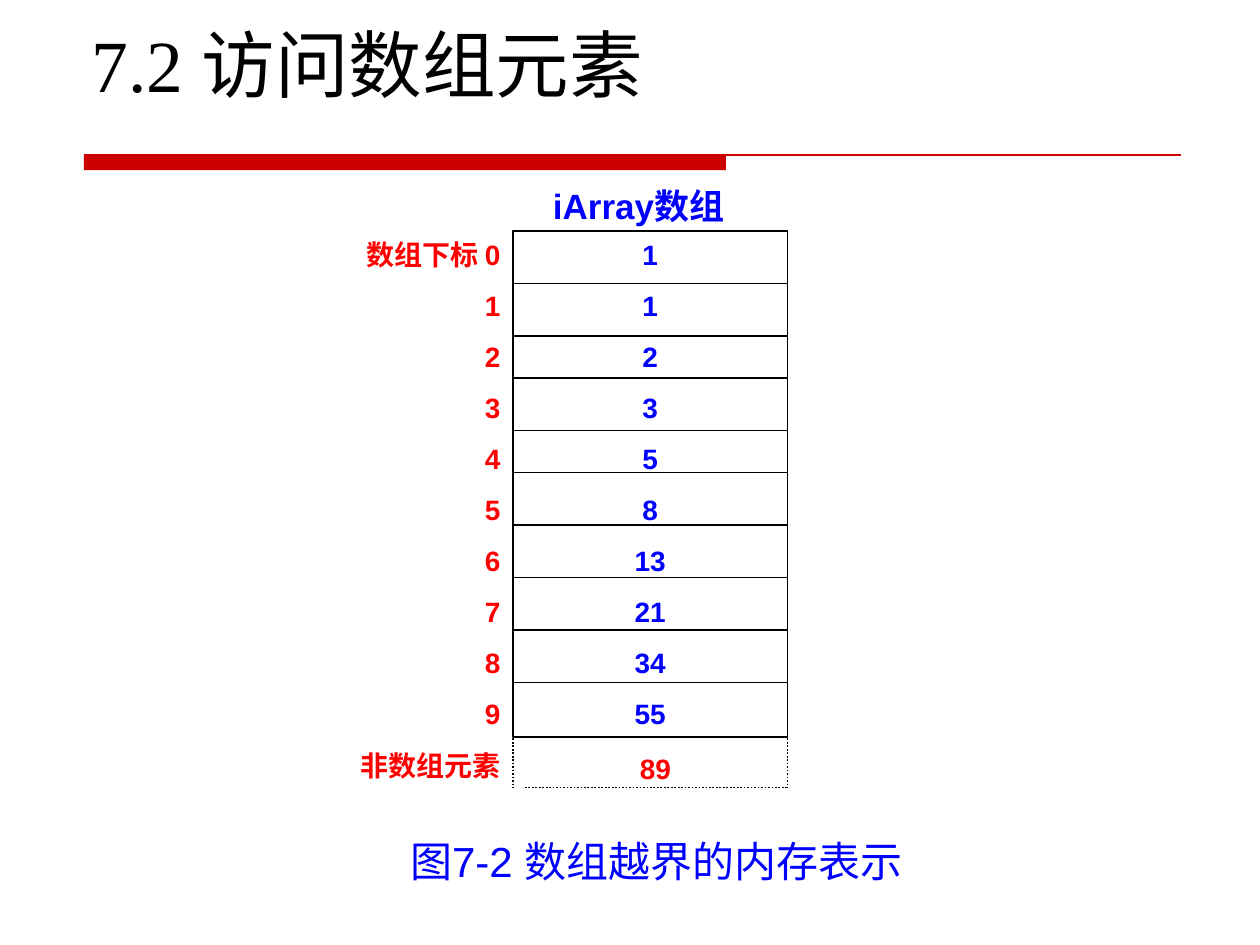
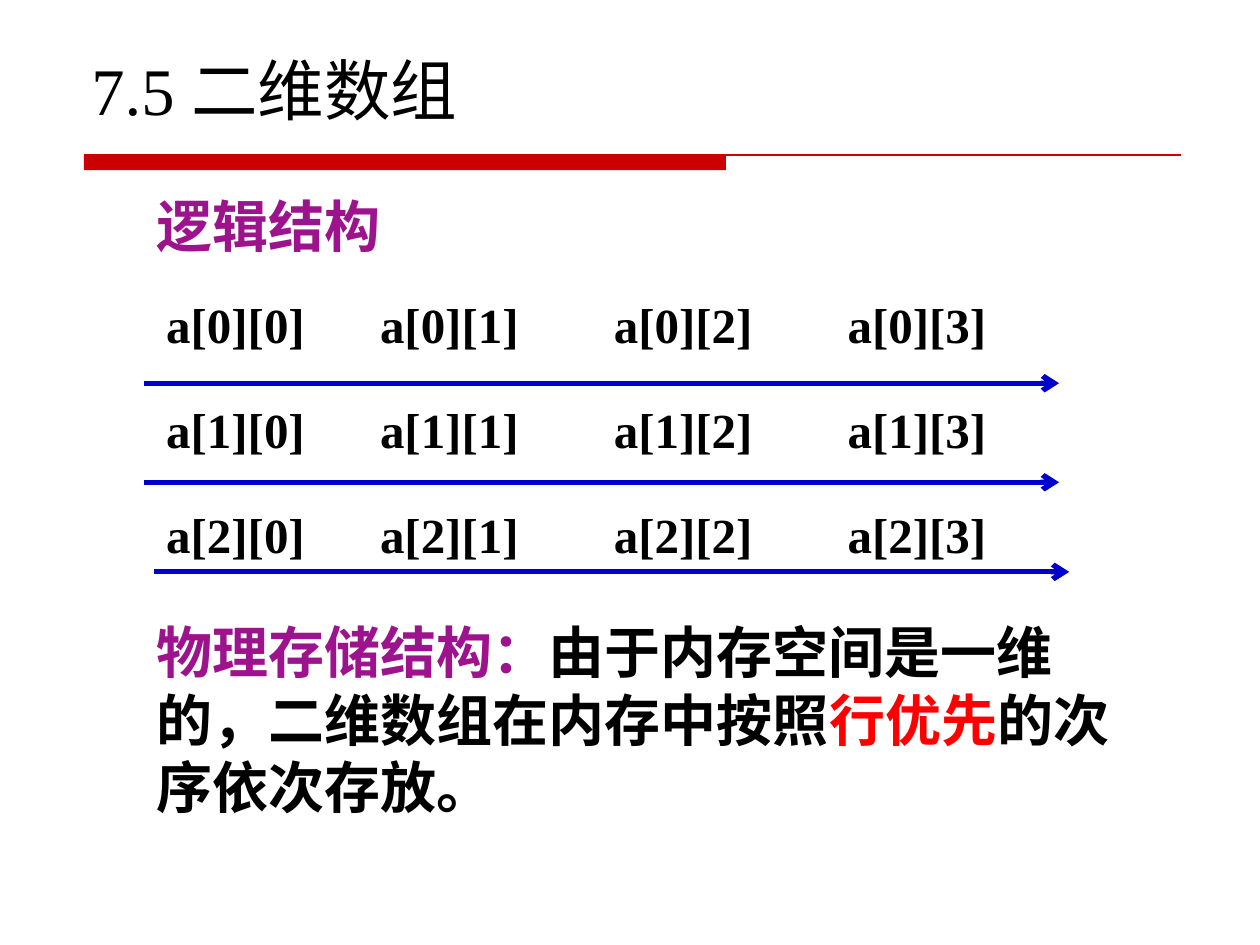
"""Build two slides on array memory layout and two-dimensional arrays."""
from itertools import accumulate

from lxml.etree import SubElement
from pptx import Presentation
from pptx.dml.color import RGBColor
from pptx.enum.dml import MSO_LINE
from pptx.enum.shapes import MSO_CONNECTOR, MSO_SHAPE
from pptx.enum.text import MSO_ANCHOR, MSO_AUTO_SIZE, PP_ALIGN
from pptx.oxml.ns import qn
from pptx.util import Pt

COLORS = {
    "band": "CC0000",
    "black": "000000",
    "blue": "0000FF",
    "arrow": "0000CC",
    "red": "FF0000",
    "purple": "9D138D",
}
SERIF, SANS = "Times New Roman", "Arial"

ACCESS_TITLE = "7.2 访问数组元素"
ARRAY_NAME = "iArray数组"
ARRAY_VALUES = ["1", "1", "2", "3", "5", "8", "13", "21", "34", "55"]
INDEX_LABELS = ["数组下标 0", *map(str, range(1, 10)), "非数组元素"]
OUTSIDE_VALUE = "89"
FIGURE_CAPTION = "图7-2 数组越界的内存表示"

MATRIX_TITLE = "7.5 二维数组"
LOGICAL_HEADING = "逻辑结构"
MATRIX = [[f"a[{row}][{column}]" for column in range(4)] for row in range(3)]
STORAGE_RUNS = [
    ("物理存储结构：", "purple"),
    ("由于内存空间是一维的，二维数组在内存中按照", "black"),
    ("行优先", "red"),
    ("的次序依次存放。", "black"),
]

BAND_TOP = 88.6
ARRAY_LEFT, ARRAY_RIGHT, ARRAY_TOP = 293, 450, 132
ARRAY_BOTTOM, OUTSIDE_BOTTOM = 421, 450
CELL_HEIGHTS = [30, 30, 24, 30, 24, 30, 30, 30, 30]
MATRIX_COLUMNS = [122.2, 133.6, 133.6, 133.6]
MATRIX_ROW_HEIGHT = 60
ROW_ARROWS = [(82.2, 219), (82.2, 275.6), (88, 326.8)]
ARROW_LENGTH = 523


def rgb(color):
    return RGBColor.from_string(COLORS[color])


def format_font(font, size, color, name=SANS, bold=True):
    font.size, font.name, font.bold = Pt(size), name, bold
    font.color.rgb = rgb(color)


def write_lines(text_frame, lines, size, color, align, bold=True):
    text_frame.word_wrap = True
    text_frame.text = "\n".join(lines)
    for number, paragraph in enumerate(text_frame.paragraphs):
        paragraph.alignment = align
        paragraph._p.get_or_add_pPr().set("hangingPunct", "0")
        if number:
            paragraph.space_before = Pt(10)
        for run in paragraph.runs:
            format_font(run.font, size, color, bold=bold)


def add_text(slide, box, lines, size, color, align=PP_ALIGN.LEFT, bold=True):
    shape = slide.shapes.add_textbox(*map(Pt, box))
    write_lines(shape.text_frame, lines, size, color, align, bold)
    return shape


def add_line(slide, start, end, color="black", width=1, dotted=False, arrow=False):
    line = slide.shapes.add_connector(MSO_CONNECTOR.STRAIGHT, *map(Pt, (*start, *end)))
    line.line.color.rgb = rgb(color)
    line.line.width = Pt(width)
    if dotted:
        line.line.dash_style = MSO_LINE.ROUND_DOT
    if arrow:
        SubElement(line.line._get_or_add_ln(), qn("a:tailEnd"), type="arrow")
    SubElement(line._element.spPr, qn("a:effectLst"))


def add_titled_slide(presentation, text, size, top, height):
    slide = presentation.slides.add_slide(presentation.slide_layouts[5])
    band = slide.shapes.add_shape(
        MSO_SHAPE.RECTANGLE, Pt(48), Pt(BAND_TOP - 0.2), Pt(366.8), Pt(8.8))
    band.shadow.inherit = False
    band.fill.solid()
    band.fill.fore_color.rgb = rgb("band")
    band.line.fill.background()
    add_line(slide, (48, BAND_TOP), (674.8, BAND_TOP), "band", 0.75)

    title = slide.shapes.title
    title.left, title.top, title.width, title.height = map(Pt, (45, top, 630, height))
    text_frame = title.text_frame
    text_frame.text = text
    text_frame.auto_size = MSO_AUTO_SIZE.NONE
    text_frame.vertical_anchor = MSO_ANCHOR.BOTTOM
    paragraph = text_frame.paragraphs[0]
    paragraph.alignment = PP_ALIGN.LEFT
    format_font(paragraph.runs[0].font, size, "black", SERIF, False)
    return slide


def build_access_slide(presentation):
    slide = add_titled_slide(presentation, ACCESS_TITLE, 42, 36, 29)
    array = slide.shapes.add_shape(
        MSO_SHAPE.RECTANGLE, Pt(ARRAY_LEFT), Pt(ARRAY_TOP),
        Pt(ARRAY_RIGHT - ARRAY_LEFT), Pt(ARRAY_BOTTOM - ARRAY_TOP))
    array.shadow.inherit = False
    array.fill.background()
    array.line.color.rgb = rgb("black")
    array.line.width = Pt(1)
    array.text_frame.vertical_anchor = MSO_ANCHOR.MIDDLE
    write_lines(array.text_frame, ARRAY_VALUES, 16, "blue", PP_ALIGN.CENTER)

    for height in accumulate(CELL_HEIGHTS):
        y = ARRAY_TOP + height
        add_line(slide, (ARRAY_LEFT, y), (ARRAY_RIGHT, y))
    for x in (ARRAY_LEFT, ARRAY_RIGHT):
        add_line(slide, (x, ARRAY_BOTTOM - 1), (x, OUTSIDE_BOTTOM), dotted=True)
    add_line(slide, (300, OUTSIDE_BOTTOM), (ARRAY_RIGHT, OUTSIDE_BOTTOM), dotted=True)

    add_text(slide, (180, 132, 113, 318), INDEX_LABELS, 16, "red", PP_ALIGN.RIGHT)
    add_text(slide, (330.5, 426, 88, 27), [OUTSIDE_VALUE], 16, "red", PP_ALIGN.CENTER)
    add_text(slide, (305.2, 102, 119.5, 32), [ARRAY_NAME], 20, "blue", PP_ALIGN.CENTER)
    add_text(slide, (222, 474, 306, 65), [FIGURE_CAPTION], 24, "blue", PP_ALIGN.CENTER, False)


def build_matrix_slide(presentation):
    slide = add_titled_slide(presentation, MATRIX_TITLE, 38, 24, 53)
    frame = slide.shapes.add_table(
        len(MATRIX), len(MATRIX_COLUMNS), Pt(87.8), Pt(157),
        Pt(sum(MATRIX_COLUMNS)), Pt(MATRIX_ROW_HEIGHT * len(MATRIX)))
    table = frame.table
    table.first_row = table.horz_banding = False
    for column, width in zip(table.columns, MATRIX_COLUMNS):
        column.width = Pt(width)
    for row, elements in zip(table.rows, MATRIX):
        row.height = Pt(MATRIX_ROW_HEIGHT)
        for cell, element in zip(row.cells, elements):
            cell.fill.background()
            cell.vertical_anchor = MSO_ANCHOR.MIDDLE
            cell.text_frame.text = element
            format_font(cell.text_frame.paragraphs[0].runs[0].font, 28, "black", SERIF)

    for x, y in ROW_ARROWS:
        add_line(slide, (x, y), (x + ARROW_LENGTH, y), "arrow", 3, arrow=True)

    add_text(slide, (82.2, 106, 264, 46), [LOGICAL_HEADING], 32, "purple")
    storage = add_text(slide, (82.2, 349.5, 561.6, 122), [""], 32, "black")
    for text, color in STORAGE_RUNS:
        run = storage.text_frame.paragraphs[0].add_run()
        run.text = text
        format_font(run.font, 32, color)


def main():
    presentation = Presentation()
    presentation.slide_width, presentation.slide_height = Pt(720), Pt(540)
    build_access_slide(presentation)
    build_matrix_slide(presentation)
    presentation.save("out.pptx")


if __name__ == "__main__":
    main()
